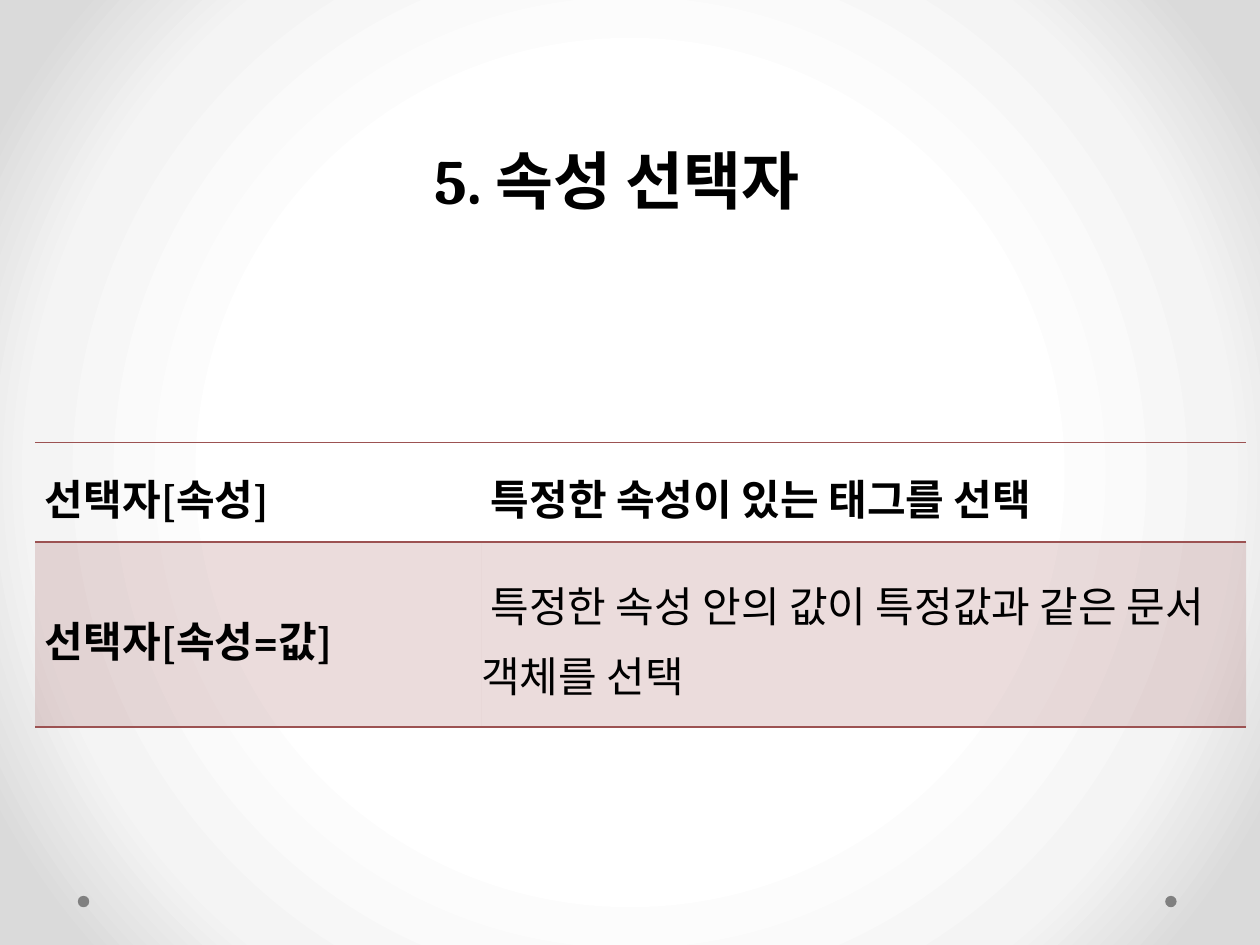
import dataclasses

import pptx
import pptx.dml.color
import pptx.enum.shapes
import pptx.enum.text
import pptx.oxml
import pptx.oxml.ns
import pptx.util

Cm = pptx.util.Cm
Pt = pptx.util.Pt
RGB = pptx.dml.color.RGBColor.from_string
NAMESPACE = pptx.oxml.ns.nsdecls("a")


@dataclasses.dataclass(frozen=True)
class Theme:
    """Colours, type sizes and font of the deck."""
    font: str = "Cambria"
    ink: str = "000000"
    accent: str = "9C5252"
    dot: str = "808080"
    glow: tuple = ((50, "FFFFFF"), (76, "F4F4F4"), (92, "DADADA"))
    band_opacity: int = 20
    title_size: int = 36
    body_size: int = 24
    rule_width: int = 1


@dataclasses.dataclass(frozen=True)
class Box:
    """A region of the page, in centimetres."""
    left: float
    top: float
    width: float
    height: float

    def lengths(self):
        """Return the four measures as lengths."""
        return [Cm(value) for value in dataclasses.astuple(self)]


THEME = Theme()
NO_TABLE_STYLE = "{2D5ABB26-0587-4C30-8999-92F81FD0307C}"
SELECTORS = (
    ("\u00a0선택자[속성]", "\u00a0특정한 속성이 있는 태그를 선택\u00a0"),
    ("\u00a0선택자[속성=값]", "\u00a0특정한 속성 안의 값이 특정값과 같은 문서 객체를 선택"),
)


def apply(target, values):
    """Set each attribute of the target from a dict."""
    for name, value in values.items():
        setattr(target, name, value)


def write(para, text, size, bold):
    """Add one formatted span to a paragraph."""
    span = para.add_run()
    span.text = text
    apply(span.font, {"name": THEME.font, "size": Pt(size), "bold": bold})
    span.font.color.rgb = RGB(THEME.ink)


def paint_background(page):
    """Fill the page with a circular gradient."""
    page.background.fill.solid()
    solid = page.element.xpath("./p:cSld/p:bg/p:bgPr/a:solidFill")[0]
    stops = "".join(
        f'<a:gs pos="{place * 1000}"><a:srgbClr val="{colour}"/></a:gs>'
        for place, colour in THEME.glow)
    gradient = pptx.oxml.parse_xml(
        f'<a:gradFill {NAMESPACE} rotWithShape="1"><a:gsLst>{stops}</a:gsLst>'
        '<a:path path="circle"><a:fillToRect l="50000" t="50000" r="50000" b="50000"/>'
        '</a:path></a:gradFill>')
    solid.getparent().replace(solid, gradient)


def place_dots(page, box):
    """Put a dot at each end of the box."""
    for left in (box.left, box.left + box.width - box.height):
        place = Box(left, box.top, box.height, box.height)
        dot = page.shapes.add_shape(
            pptx.enum.shapes.MSO_SHAPE.OVAL, *place.lengths())
        dot.shadow.inherit = False
        dot.fill.solid()
        dot.fill.fore_color.rgb = RGB(THEME.dot)
        dot.line.fill.background()


def place_title(page, box, text):
    """Move the title placeholder to the box and fill it."""
    title = page.shapes.title
    apply(title, dict(zip(("left", "top", "width", "height"), box.lengths())))
    apply(title.text_frame, {
        "word_wrap": False,
        "auto_size": pptx.enum.text.MSO_AUTO_SIZE.SHAPE_TO_FIT_TEXT,
        "vertical_anchor": pptx.enum.text.MSO_ANCHOR.TOP,
    })
    para = title.text_frame.paragraphs[0]
    para.alignment = pptx.enum.text.PP_ALIGN.LEFT
    write(para, text, THEME.title_size, True)


def rule_cell(cell):
    """Draw a rule above and below a cell."""
    properties = cell._tc.get_or_add_tcPr()
    for side in ("lnT", "lnB"):
        properties.append(pptx.oxml.parse_xml(
            f'<a:{side} {NAMESPACE} w="{Pt(THEME.rule_width)}"><a:solidFill>'
            f'<a:srgbClr val="{THEME.accent}"/></a:solidFill></a:{side}>'))


def shade_cell(cell):
    """Fill a cell with the translucent accent."""
    cell.fill.solid()
    cell.fill.fore_color.rgb = RGB(THEME.accent)
    colour = cell._tc.tcPr.xpath("./a:solidFill/a:srgbClr")[0]
    colour.append(pptx.oxml.parse_xml(
        f'<a:alpha {NAMESPACE} val="{THEME.band_opacity * 1000}"/>'))


def place_table(page, box, rows, first_width, first_height):
    """Lay out the selectors and their meanings in a ruled table."""
    frame = page.shapes.add_table(len(rows), len(rows[0]), *box.lengths())
    table = frame.table
    apply(table, {"first_row": False, "horz_banding": False})
    table._tbl.tblPr.xpath("./a:tableStyleId")[0].text = NO_TABLE_STYLE
    for column, width in zip(table.columns, (first_width, box.width - first_width)):
        column.width = Cm(width)
    for row, height in zip(table.rows, (first_height, box.height - first_height)):
        row.height = Cm(height)
    for row_index, texts in enumerate(rows):
        for column_index, text in enumerate(texts):
            cell = table.cell(row_index, column_index)
            apply(cell, {
                "margin_left": 0, "margin_right": 0,
                "margin_top": 0, "margin_bottom": 0,
                "vertical_anchor": pptx.enum.text.MSO_ANCHOR.MIDDLE,
            })
            rule_cell(cell)
            if row_index % 2:
                shade_cell(cell)
            else:
                cell.fill.background()
            para = cell.text_frame.paragraphs[0]
            apply(para, {"line_spacing": 1.15, "space_after": Pt(10)})
            write(para, text, THEME.body_size, row_index == 0 or column_index == 0)


def main():
    """Build and save the deck."""
    deck = pptx.Presentation()
    apply(deck, {"slide_width": Cm(25.4), "slide_height": Cm(19.05)})
    page = deck.slides.add_slide(deck.slide_layouts[5])
    paint_background(page)
    place_dots(page, Box(1.57, 18.06, 22.15, 0.23))
    place_title(page, Box(8.5, 2.72, 8.53, 1.8), "5. 속성 선택자")
    place_table(page, Box(0.71, 8.92, 24.41, 5.74), SELECTORS, 8.99, 2.01)
    deck.save("out.pptx")


if __name__ == "__main__":
    main()
